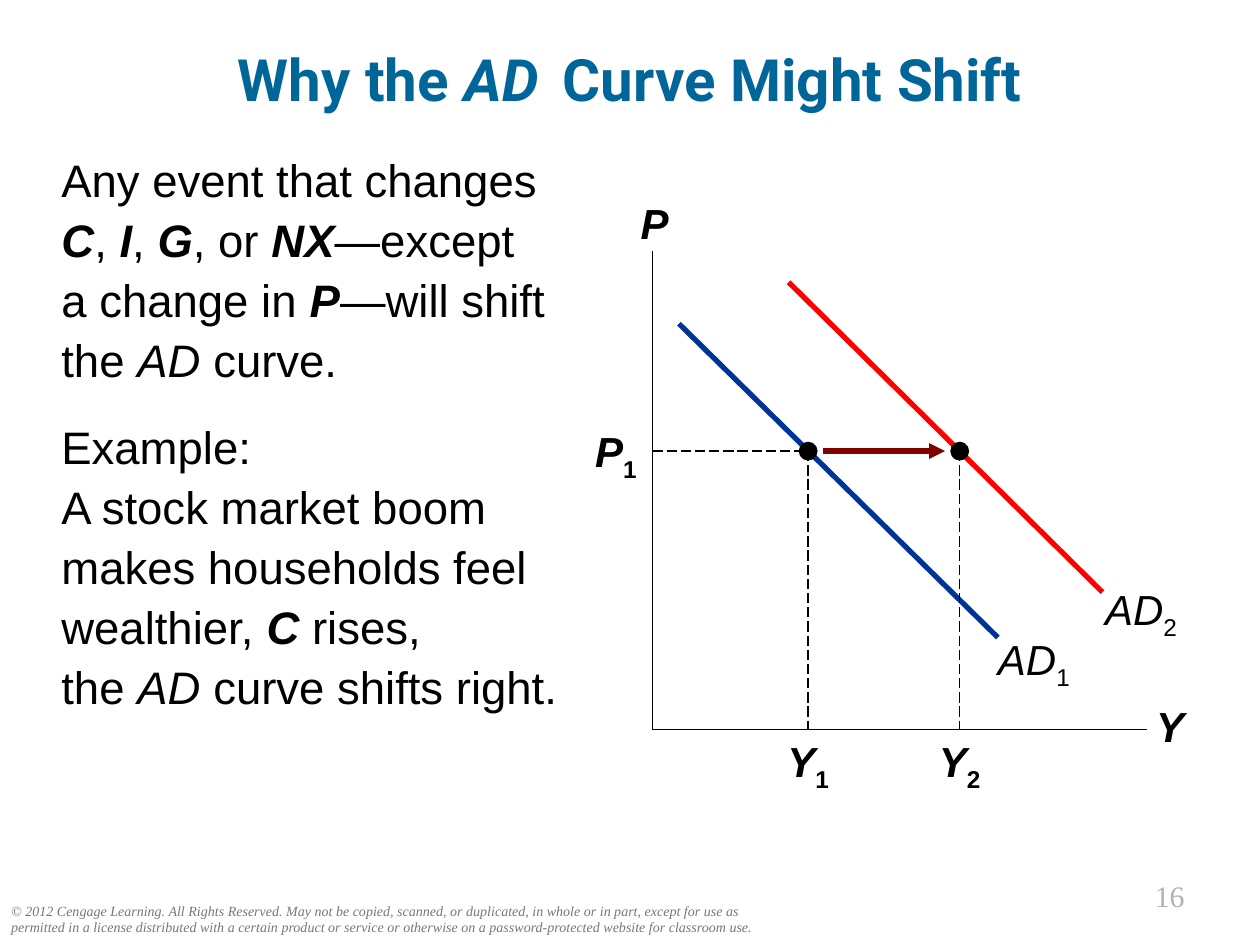
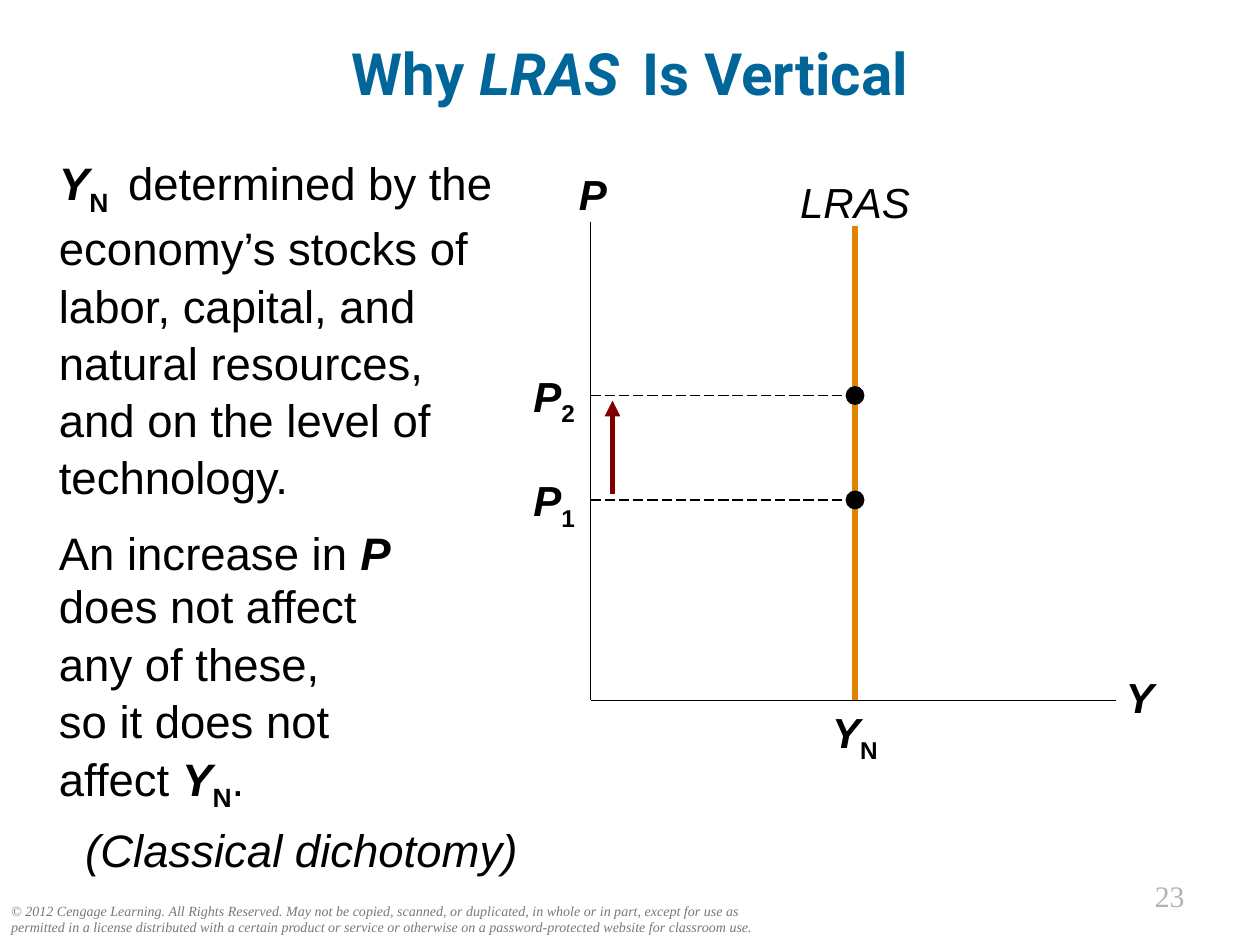
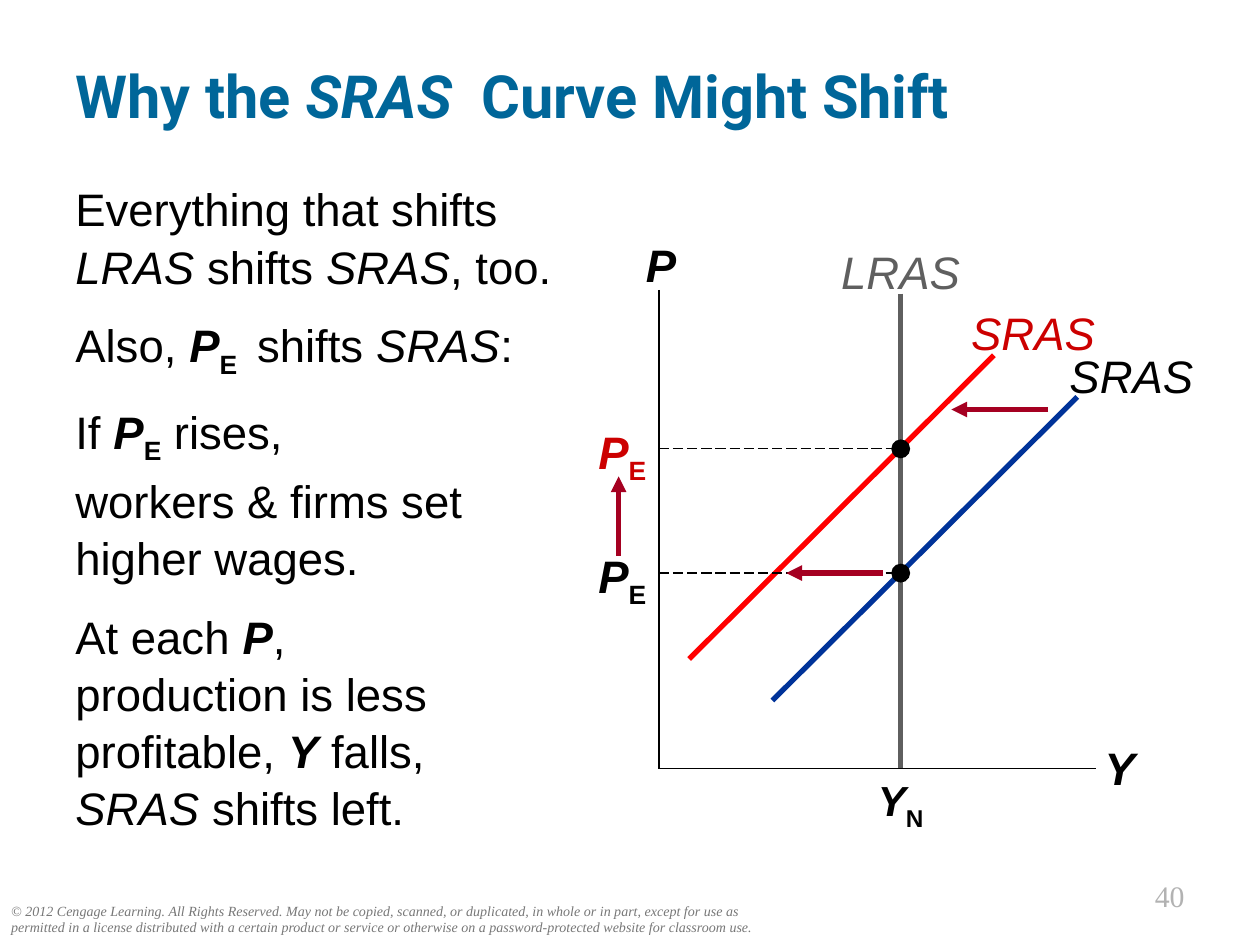
"""Build three slides that explain shifts of aggregate demand and supply."""
from dataclasses import dataclass

from lxml.etree import SubElement
from pptx import Presentation
from pptx.dml.color import RGBColor
from pptx.enum.dml import MSO_LINE
from pptx.enum.shapes import MSO_CONNECTOR, MSO_SHAPE
from pptx.enum.text import MSO_ANCHOR, PP_ALIGN
from pptx.oxml.ns import qn
from pptx.util import Pt


@dataclass(frozen=True)
class Theme:
    """Hold the fonts, colours and type sizes of the deck."""

    heading_font: str = "Roboto"
    body_font: str = "Arial"
    footer_font: str = "Times New Roman"
    heading: str = "006699"
    ink: str = "000000"
    footer: str = "777777"
    number: str = "B2B2B2"
    blue: str = "003399"
    red: str = "FF0000"
    label_red: str = "CC0000"
    orange: str = "DE8400"
    grey: str = "5F5F5F"
    maroon: str = "800000"
    crimson: str = "A50021"
    title_size: float = 33.3
    left_title_size: float = 34
    title_gap_size: float = 21.6
    body_size: float = 26
    label_size: float = 24
    footer_size: float = 8
    number_size: float = 17


@dataclass(frozen=True)
class Axes:
    """Hold the edges of a graph and the size of its letters."""

    left: float
    top: float
    right: float
    floor: float
    size: float


THEME = Theme()
DOT = 10.8
COPYRIGHT = (
    "© 2012 Cengage Learning. All Rights Reserved. May not be copied, scanned, or "
    "duplicated, in whole or in part, except for use as permitted in a license "
    "distributed with a certain product or service or otherwise on a "
    "password-protected website for classroom use."
)


def italic(text):
    """Return an italic piece of text."""
    return text, {"italic": True}


def symbol(text):
    """Return a bold italic piece of text for a variable."""
    return text, {"bold": True, "italic": True}


def subscript(text, bold=True):
    """Return a lowered piece of text."""
    return text, {"bold": bold, "baseline": -25}


def variable(letter, index):
    """Return a variable with its subscript."""
    return [symbol(letter), subscript(index)]


def write(paragraph, text, font=THEME.body_font, size=THEME.body_size,
          color=THEME.ink, bold=False, italic=False, baseline=0):
    """Add formatted text to a paragraph, with a line break at each newline."""
    for index, line in enumerate(text.split("\n")):
        if index:
            paragraph.add_line_break()
        if not line:
            continue
        run = paragraph.add_run()
        run.text = line
        run.font.name = font
        run.font.size = Pt(size)
        run.font.bold = bold
        run.font.italic = italic
        run.font.color.rgb = RGBColor.from_string(color)
        if baseline:
            run.font._element.set("baseline", str(baseline * 1000))


def write_pieces(paragraph, pieces, **format):
    """Write plain strings and styled pieces in one common format."""
    for piece in pieces:
        text, style = (piece, {}) if isinstance(piece, str) else piece
        write(paragraph, text, **{**format, **style})


def add_text(slide, box, paragraphs, align=PP_ALIGN.LEFT, anchor=MSO_ANCHOR.TOP,
             inset=(7.2, 3.6), spacing=None, gaps=(), **format):
    """Add a wrapped text box that holds paragraphs of pieces."""
    frame = slide.shapes.add_textbox(*map(Pt, box)).text_frame
    frame.word_wrap = True
    frame.vertical_anchor = anchor
    frame.margin_left = frame.margin_right = Pt(inset[0])
    frame.margin_top = frame.margin_bottom = Pt(inset[1])
    for index, pieces in enumerate(paragraphs):
        paragraph = frame.add_paragraph() if index else frame.paragraphs[0]
        paragraph.alignment = align
        if spacing:
            paragraph.line_spacing = spacing
        if index:
            paragraph.space_before = Pt(gaps[index - 1])
        write_pieces(paragraph, pieces, **format)
    return frame


def add_label(slide, center, top, pieces, size=THEME.label_size, color=THEME.ink):
    """Add a graph label centred on a horizontal position."""
    add_text(slide, (center - 46, top, 92, 29), [pieces], align=PP_ALIGN.CENTER,
             inset=(0, 0), size=size, color=color)


def add_line(slide, start, end, color=THEME.ink, width=1, dash=None, arrow=False):
    """Add a straight line, with an arrowhead at its end on request."""
    connector = slide.shapes.add_connector(
        MSO_CONNECTOR.STRAIGHT, *map(Pt, (*start, *end)))
    connector.line.color.rgb = RGBColor.from_string(color)
    connector.line.width = Pt(width)
    if dash:
        connector.line.dash_style = dash
    properties = connector._element.spPr
    if arrow:
        SubElement(properties.find(qn("a:ln")), qn("a:tailEnd"), type="triangle")
    SubElement(properties, qn("a:effectLst"))


def add_curve(slide, start, end, color):
    """Add a thick coloured curve."""
    add_line(slide, start, end, color=color, width=3)


def add_arrow(slide, start, end, color):
    """Add a thick arrow that shows a shift."""
    add_line(slide, start, end, color=color, width=3, arrow=True)


def add_guide(slide, start, end):
    """Add a thin dashed guide line."""
    add_line(slide, start, end, width=0.75, dash=MSO_LINE.LONG_DASH)


def add_dot(slide, x, y):
    """Add a dot centred on a point."""
    shape = slide.shapes.add_shape(
        MSO_SHAPE.OVAL, Pt(x - DOT / 2), Pt(y - DOT / 2), Pt(DOT), Pt(DOT))
    shape.shadow.inherit = False
    shape.fill.solid()
    shape.fill.fore_color.rgb = RGBColor.from_string(THEME.ink)
    shape.line.fill.background()


def add_axes(slide, axes):
    """Draw the price and output axes with their letters."""
    add_line(slide, (axes.left, axes.top), (axes.left, axes.floor))
    add_line(slide, (axes.left, axes.floor), (axes.right, axes.floor))
    add_label(slide, axes.left + 1.3, axes.top - 30.2, [symbol("P")], axes.size)
    add_label(slide, axes.right + 13.5, axes.floor - 16.6, [symbol("Y")], axes.size)


def add_price(slide, axes, x, y, index, color=THEME.ink):
    """Mark a point and guide it to its label on the price axis."""
    add_guide(slide, (axes.left, y), (x, y))
    add_label(slide, axes.left - 20.8, y - 14.4, variable("P", index),
              axes.size, color)
    add_dot(slide, x, y)


def add_output(slide, axes, x, index):
    """Label a position on the output axis."""
    add_label(slide, x, axes.floor + 3.4, variable("Y", index))


def add_title(slide, box, pieces, align=PP_ALIGN.CENTER, size=THEME.title_size):
    """Add the slide title."""
    add_text(slide, box, [pieces], align=align, anchor=MSO_ANCHOR.MIDDLE,
             font=THEME.heading_font, size=size, color=THEME.heading, bold=True)


def title_gap():
    """Return the narrow space after an italic name in a title."""
    return " ", {"size": THEME.title_gap_size}


def add_slide(presentation, number):
    """Add a blank slide with the copyright line and the slide number."""
    slide = presentation.slides.add_slide(presentation.slide_layouts[6])
    add_text(slide, (-0.7, 512, 445, 26.6), [[italic(COPYRIGHT)]],
             font=THEME.footer_font, size=THEME.footer_size, color=THEME.footer)
    add_text(slide, (594, 498.2, 90, 28), [[str(number)]], align=PP_ALIGN.RIGHT,
             font=THEME.footer_font, size=THEME.number_size, color=THEME.number)
    return slide


def build_demand_shift(presentation):
    """Build the slide on shifts of aggregate demand."""
    slide = add_slide(presentation, 16)
    add_title(slide, (0, 19.4, 720, 51),
              ["Why the ", italic("AD "), title_gap(), "Curve Might Shift"])
    add_text(slide, (28, 80, 304, 405), [
        ["Any event that changes ", symbol("C"), ", ", symbol("I"), ", ", symbol("G"),
         ", or ", symbol("NX"), "—except\na change in ", symbol("P"),
         "—will shift the ", italic("AD"), " curve."],
        ["Example:\nA stock market boom makes households feel wealthier, ",
         symbol("C"), " rises,\nthe ", italic("AD"), " curve shifts right."],
    ], spacing=1.1, gaps=[15.6])

    axes = Axes(372.8, 143.3, 655.2, 416.9, THEME.label_size)
    first, second, price = 461.8, 548.4, 257.8
    add_axes(slide, axes)
    for start, end, color, label, index in (
        ((388, 185), (570.2, 364.3), THEME.blue, (590.8, 362.2), "1"),
        ((450.7, 161.3), (630, 338.4), THEME.red, (652, 333.4), "2"),
    ):
        add_curve(slide, start, end, color)
        add_label(slide, *label, [italic("AD"), subscript(index, bold=False)])
    for x, index in ((first, "1"), (second, "2")):
        add_guide(slide, (x, price), (x, axes.floor))
        add_output(slide, axes, x, index)
    add_price(slide, axes, first, price, "1")
    add_dot(slide, second, price)
    add_arrow(slide, (470.2, price), (540, price), THEME.maroon)


def build_vertical_supply(presentation):
    """Build the slide on vertical long-run supply."""
    slide = add_slide(presentation, 23)
    add_title(slide, (0, 15.8, 720, 51),
              ["Why ", italic("LRAS "), title_gap(), "Is Vertical"])
    add_text(slide, (26.6, 83.5, 269.3, 255.6), [
        [symbol("Y"), subscript("N "), " determined by the economy’s stocks of labor, "
         "capital, and natural resources, and on the level of technology."],
        ["An increase in ", symbol("P")],
    ], spacing=1.05, gaps=[10.4])
    frame = add_text(slide, (26.6, 325.4, 291.6, 182.2), [
        ["does not affect\nany of these,\nso it does not\naffect ",
         *variable("Y", "N"), "."],
        [italic("(Classical dichotomy)")],
    ], spacing=1.05, gaps=[3.9])
    frame.paragraphs[1].alignment = PP_ALIGN.CENTER

    axes = Axes(337.5, 126.7, 637.9, 400.3, THEME.label_size)
    output = 488.6
    add_axes(slide, axes)
    add_curve(slide, (output, 128.9), (output, axes.floor), THEME.orange)
    add_label(slide, output, 100.8, [italic("LRAS")])
    for price, index in ((285.7, "1"), (226, "2")):
        add_price(slide, axes, output, price, index)
    add_arrow(slide, (350, 282.2), (350, 229), THEME.maroon)
    add_output(slide, axes, output, "N")


def build_supply_shift(presentation):
    """Build the slide on shifts of short-run supply."""
    slide = add_slide(presentation, 40)
    add_title(slide, (36, 18, 648, 72),
              ["Why the ", italic("SRAS "), " Curve Might Shift"],
              align=PP_ALIGN.LEFT, size=THEME.left_title_size)
    add_text(slide, (36, 98.6, 291, 411), [
        ["Everything that shifts ", italic("LRAS"), " shifts ", italic("SRAS"),
         ", too."],
        ["Also, ", symbol("P"), subscript("E "), " shifts ", italic("SRAS"), ":"],
        ["If ", *variable("P", "E"), " rises,"],
        ["workers & firms set higher wages."],
        ["At each ", symbol("P"), ",\nproduction is less profitable, ", symbol("Y"),
         " falls, ", italic("SRAS"), " shifts left."],
    ], spacing=1.05, gaps=[12, 12, 2.6, 12])

    axes = Axes(376.4, 165.6, 626.4, 439.2, THEME.body_size)
    output = 514.7
    add_curve(slide, (output, 167.8), (output, axes.floor), THEME.grey)
    add_label(slide, output, 139.7, [italic("LRAS")], axes.size, THEME.grey)
    add_axes(slide, axes)
    for start, end, color, label, label_color in (
        ((441.4, 400.3), (615.6, 226.8), THEME.blue, (646.6, 198.7), THEME.ink),
        ((393.8, 376.6), (568, 203), THEME.red, (590.4, 174.2), THEME.label_red),
    ):
        add_curve(slide, start, end, color)
        add_label(slide, *label, [italic("SRAS")], axes.size, label_color)
    for price, color in ((327.5, THEME.ink), (256.5, THEME.label_red)):
        add_price(slide, axes, output, price, "E", color)
    add_output(slide, axes, output, "N")
    for start, end in (
        ((353.5, 317.5), (353.5, 272.2)),
        ((504.7, 327.5), (449.3, 327.5)),
        ((599, 234), (543.6, 234)),
    ):
        add_arrow(slide, start, end, THEME.crimson)


def main():
    """Build the deck and save it."""
    presentation = Presentation()
    presentation.slide_width = Pt(720)
    presentation.slide_height = Pt(540)
    build_demand_shift(presentation)
    build_vertical_supply(presentation)
    build_supply_shift(presentation)
    presentation.save("out.pptx")


if __name__ == "__main__":
    main()
